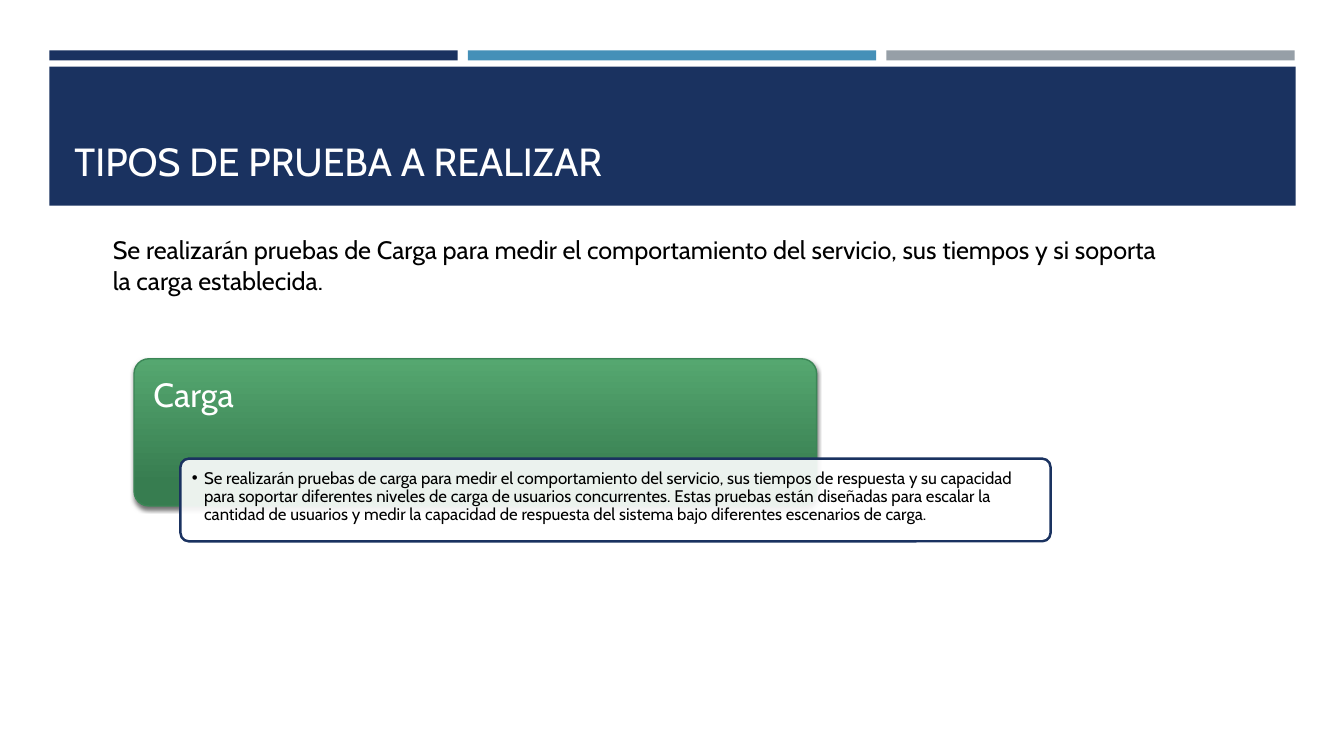
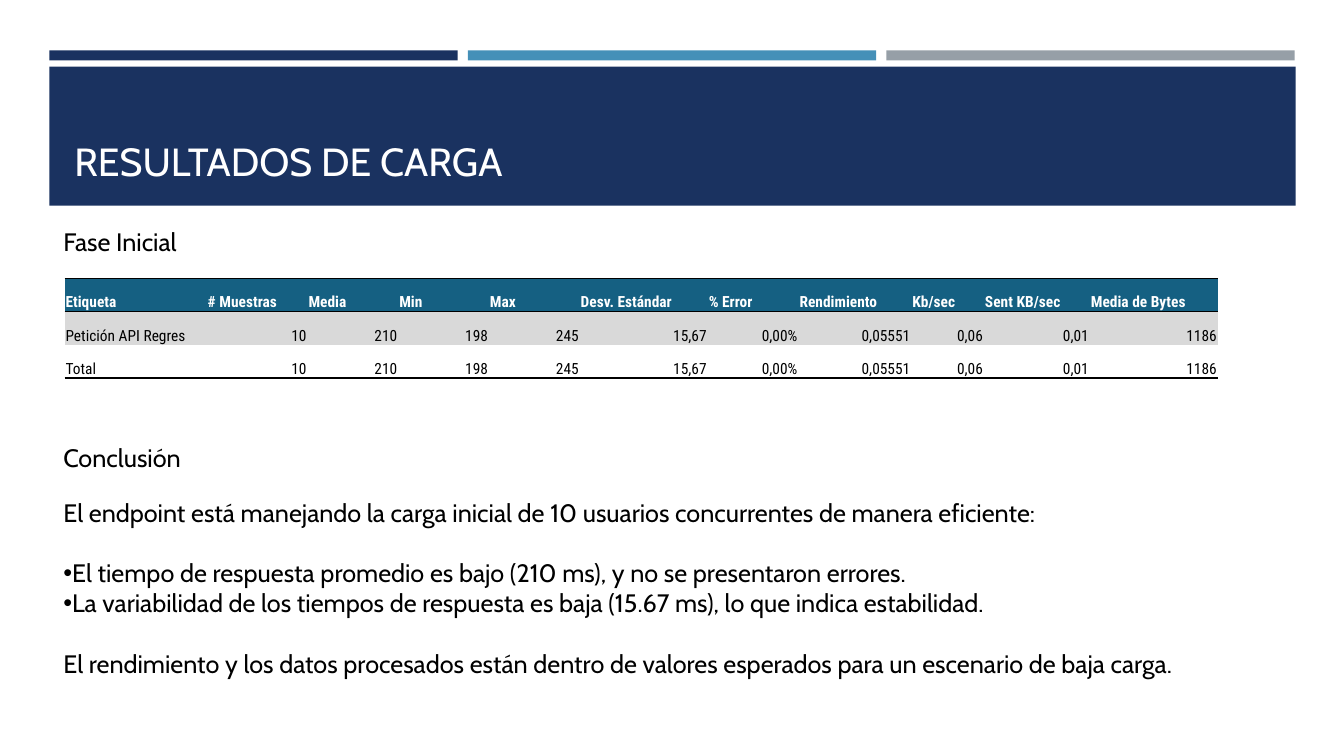
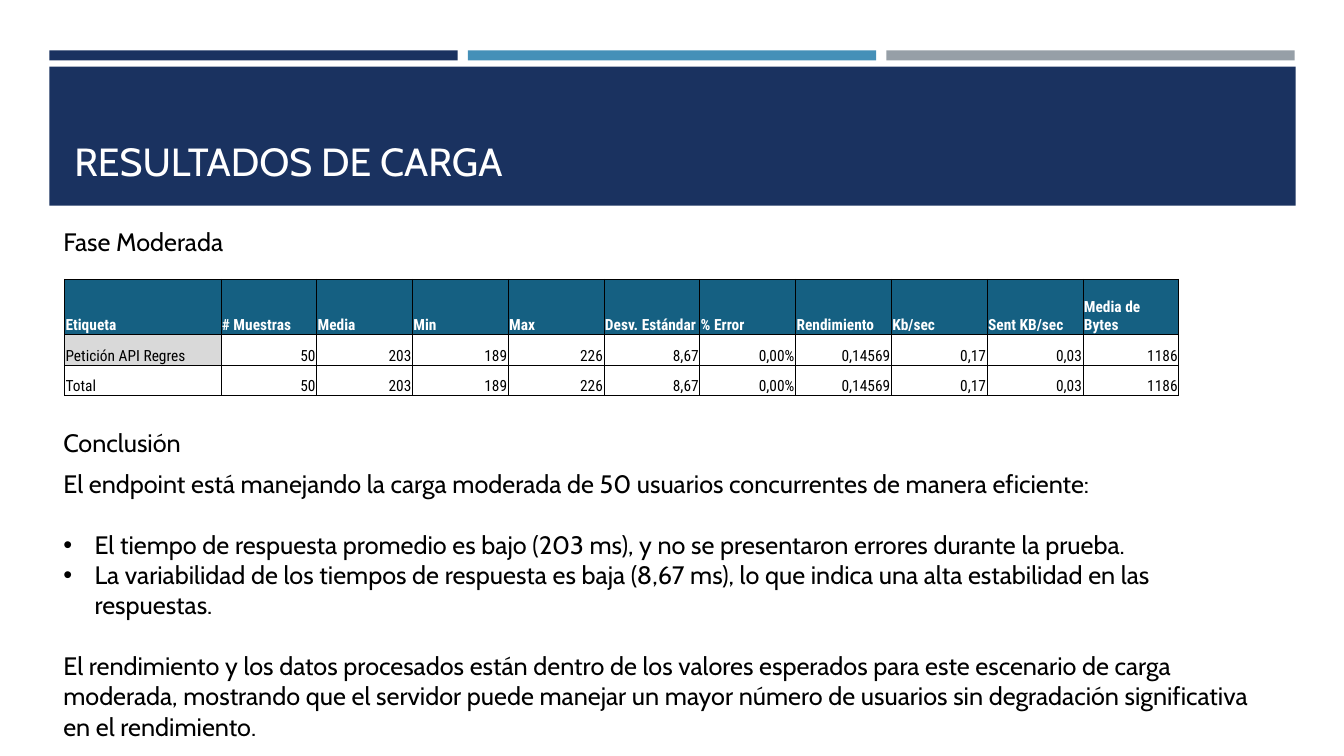
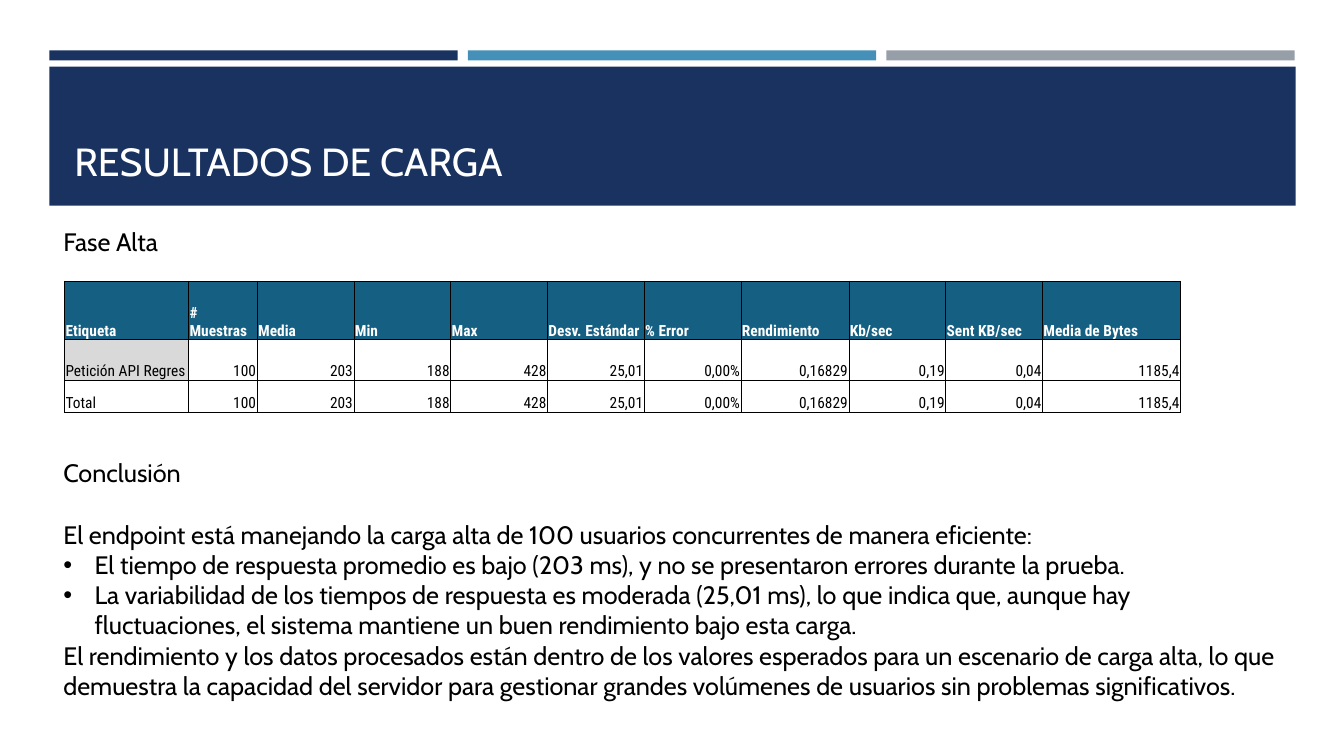
from lxml import etree
from pptx import Presentation
from pptx.dml.color import RGBColor
from pptx.enum.shapes import MSO_SHAPE
from pptx.enum.text import MSO_ANCHOR, PP_ALIGN
from pptx.oxml.ns import qn
from pptx.util import Inches, Pt

RECT = MSO_SHAPE.RECTANGLE
ROUNDED = MSO_SHAPE.ROUNDED_RECTANGLE
TOP = MSO_ANCHOR.TOP
BOTTOM = MSO_ANCHOR.BOTTOM
LEFT = PP_ALIGN.LEFT
RIGHT = PP_ALIGN.RIGHT

NAVY, BLUE, GRAY = "1A3260", "4590B8", "969FA7"
TEAL, LIGHT = "156082", "D9D9D9"
BLACK, WHITE = "000000", "FFFFFF"
BLANK_LINE = 21.7
PLAIN_TABLE = "{2D5ABB26-0587-4C30-8999-92F81FD0307C}"

HEADINGS = ["Etiqueta", "# Muestras", "Media", "Min", "Max", "Desv. Estándar",
            "% Error", "Rendimiento", "Kb/sec", "Sent KB/sec", "Media de Bytes"]
ROW_LABELS = ["Petición API Regres", "Total"]
GRID = ["LRTB"] * 3


def rgb(value):
    return RGBColor.from_string(value)


def add_xml(parent, tag, **attributes):
    child = etree.SubElement(parent, qn(tag))
    for name, value in attributes.items():
        child.set(name, str(value))
    return child


class Deck:
    font = "Cabin"
    table_font = "Roboto Condensed"

    def __init__(self):
        self.prs = Presentation()
        self.prs.slide_width = Inches(13.33)
        self.prs.slide_height = Inches(7.5)
        self.s = None

    def slide(self, title):
        self.s = self.prs.slides.add_slide(self.prs.slide_layouts[6])
        for i, color in enumerate((NAVY, BLUE, GRAY)):
            self.box(RECT, 0.49 + i * 4.15, 0.5, 4.05, 0.1, color)
        self.box(RECT, 0.49, 0.66, 12.36, 1.38, NAVY)
        self.text(0.64, 0.8, 12.06, 1.08, [title], size=28, color=WHITE, anchor=BOTTOM)

    def box(self, kind, x, y, w, h, fill=None, line=None, width=1):
        sp = self.s.shapes.add_shape(kind, Inches(x), Inches(y), Inches(w), Inches(h))
        sp.shadow.inherit = False
        if fill:
            sp.fill.solid()
            sp.fill.fore_color.rgb = rgb(fill)
        if line:
            sp.line.color.rgb = rgb(line)
            sp.line.width = Pt(width)
        else:
            sp.line.fill.background()
        if kind == ROUNDED:
            sp.adjustments[0] = 0.1
        return sp

    def gradient(self, sp, stops):
        sp.fill.gradient()
        sp.fill.gradient_angle = 270
        for stop, (position, color) in zip(sp.fill.gradient_stops, stops):
            stop.position = position
            stop.color.rgb = rgb(color)

    def drop_shadow(self, sp):
        effects = sp.element.spPr.find(qn("a:effectLst"))
        shadow = add_xml(effects, "a:outerShdw", blurRad=Pt(3), dist=Pt(2),
                         dir=5400000, rotWithShape=0)
        color = add_xml(shadow, "a:srgbClr", val=BLACK)
        add_xml(color, "a:alpha", val=55000)

    def opacity(self, sp, percent):
        color = sp.element.spPr.find(qn("a:solidFill")).find(qn("a:srgbClr"))
        add_xml(color, "a:alpha", val=percent * 1000)

    def style(self, p, size, color, font=font, bold=False):
        p.font.name = font
        p.font.size = Pt(size)
        p.font.bold = bold
        p.font.color.rgb = rgb(color)

    def bullet(self, p, indent):
        pPr = p._p.get_or_add_pPr()
        pPr.set("marL", str(Inches(indent)))
        pPr.set("indent", str(-Inches(indent)))
        add_xml(pPr, "a:buFont", typeface="Arial")
        add_xml(pPr, "a:buChar", char="•")

    def paragraphs(self, tf, items, size=18, color=BLACK, anchor=TOP, indent=0.31,
                   spacing=None):
        tf.word_wrap = True
        tf.vertical_anchor = anchor
        for i, item in enumerate(items):
            text, bulleted, gap = (item, False, 0) if isinstance(item, str) else item
            p = tf.paragraphs[0] if i == 0 else tf.add_paragraph()
            p.text = text
            p.alignment = LEFT
            if spacing:
                p.line_spacing = spacing
            if gap:
                p.space_before = Pt(gap)
            if bulleted:
                self.bullet(p, indent)
            self.style(p, size, color)

    def text(self, x, y, w, h, items, **options):
        sp = self.s.shapes.add_textbox(Inches(x), Inches(y), Inches(w), Inches(h))
        self.paragraphs(sp.text_frame, items, **options)

    def label(self, sp, inset, items, **options):
        tf = sp.text_frame
        tf.margin_left = tf.margin_right = tf.margin_top = tf.margin_bottom = Inches(inset)
        self.paragraphs(tf, items, spacing=0.9, **options)

    def borders(self, cell, edges, width):
        tcPr = cell._tc.get_or_add_tcPr()
        for side in "LRTB":
            if side in edges:
                ln = add_xml(tcPr, "a:ln" + side, w=Pt(width))
                add_xml(add_xml(ln, "a:solidFill"), "a:srgbClr", val=BLACK)
            else:
                add_xml(add_xml(tcPr, "a:ln" + side, w=0), "a:noFill")

    def table(self, y, widths, heights, values, edges, width, shaded):
        rows = [HEADINGS] + [[name] + values for name in ROW_LABELS]
        frame = self.s.shapes.add_table(len(rows), len(widths), Inches(0.64), Inches(y),
                                        Inches(sum(widths)), Inches(sum(heights)))
        table = frame.table
        table.horz_banding = False
        table._tbl.tblPr.find(qn("a:tableStyleId")).text = PLAIN_TABLE
        for column, size in zip(table.columns, widths):
            column.width = Inches(size)
        for i, row in enumerate(rows):
            table.rows[i].height = Inches(heights[i])
            for j, text in enumerate(row):
                cell = table.cell(i, j)
                cell.margin_left = cell.margin_right = cell.margin_top = Inches(0.01)
                cell.margin_bottom = 0
                cell.vertical_anchor = BOTTOM
                self.borders(cell, edges[i], width)
                if i == 0 or (i == 1 and j < shaded):
                    cell.fill.solid()
                    cell.fill.fore_color.rgb = rgb(LIGHT if i else TEAL)
                else:
                    cell.fill.background()
                p = cell.text_frame.paragraphs[0]
                p.text = text
                p.alignment = RIGHT if i and j else LEFT
                self.style(p, 11, BLACK if i else WHITE, self.table_font, i == 0)

    def results(self, phase, table, conclusion_y, body, items, indent=0.31):
        self.slide("RESULTADOS DE CARGA")
        self.text(0.53, 2.2, 10.16, 0.4, [phase])
        self.table(**table)
        self.text(0.53, conclusion_y, 10.16, 0.4, ["Conclusión"])
        self.text(0.53, *body, items, indent=indent)


def main():
    deck = Deck()

    deck.slide("TIPOS DE PRUEBA A REALIZAR")
    card = deck.box(ROUNDED, 1.33, 3.56, 6.77, 1.46, line="3B8656")
    deck.gradient(card, [(0, "55A770"), (0.84, "377D50")])
    deck.drop_shadow(card)
    deck.label(card, 0.15, ["Carga"], size=24, color=WHITE)
    detail = deck.box(ROUNDED, 1.79, 4.55, 8.63, 0.82, WHITE, NAVY, 1.75)
    deck.opacity(detail, 90)
    deck.label(detail, 0.09, [(
        "Se realizarán pruebas de carga para medir el comportamiento del servicio, sus tiempos "
        "de respuesta y su capacidad para soportar diferentes niveles de carga de usuarios "
        "concurrentes. Estas pruebas están diseñadas para escalar la cantidad de usuarios y "
        "medir la capacidad de respuesta del sistema bajo diferentes escenarios de carga.",
        True, 0)], size=12, indent=0.12)
    deck.text(1.02, 2.28, 10.75, 0.71, [
        "Se realizarán pruebas de Carga para medir el comportamiento del servicio, sus tiempos "
        "y si soporta la carga establecida."])

    deck.results(
        "Fase Inicial",
        dict(y=2.76, widths=[1.41, 1, 0.9, 0.9, 0.9, 1.27, 0.9, 1.12, 0.72, 1.05, 1.27],
             heights=[0.33] * 3, edges=["TB", "T", "B"], width=1, shaded=len(HEADINGS),
             values=["10", "210", "198", "245", "15,67", "0,00%", "0,05551", "0,06", "0,01",
                     "1186"]),
        4.34, (4.88, 11.24, 2.22),
        ["El endpoint está manejando la carga inicial de 10 usuarios concurrentes de manera "
         "eficiente:",
         ("El tiempo de respuesta promedio es bajo (210 ms), y no se presentaron errores.",
          True, BLANK_LINE),
         ("La variabilidad de los tiempos de respuesta es baja (15.67 ms), lo que indica "
          "estabilidad.", True, 0),
         ("El rendimiento y los datos procesados están dentro de valores esperados para un "
          "escenario de baja carga.", False, BLANK_LINE)],
        indent=0)

    deck.results(
        "Fase Moderada",
        dict(y=2.77, widths=[1.55] + [0.95] * 10, heights=[0.55, 0.3, 0.3],
             edges=GRID, width=0.5, shaded=1,
             values=["50", "203", "189", "226", "8,67", "0,00%", "0,14569", "0,17", "0,03",
                     "1186"]),
        4.19, (4.6, 12.16, 2.52),
        ["El endpoint está manejando la carga moderada de 50 usuarios concurrentes de manera "
         "eficiente:",
         ("El tiempo de respuesta promedio es bajo (203 ms), y no se presentaron errores "
          "durante la prueba.", True, BLANK_LINE),
         ("La variabilidad de los tiempos de respuesta es baja (8,67 ms), lo que indica una "
          "alta estabilidad en las respuestas.", True, 0),
         ("El rendimiento y los datos procesados están dentro de los valores esperados para "
          "este escenario de carga moderada, mostrando que el servidor puede manejar un mayor "
          "número de usuarios sin degradación significativa en el rendimiento.",
          False, BLANK_LINE)])

    deck.results(
        "Fase Alta",
        dict(y=2.79, widths=[1.23, 0.68] + [0.96] * 5 + [1.07, 0.96, 0.96, 1.37],
             heights=[0.58, 0.4, 0.32], edges=GRID, width=0.5, shaded=1,
             values=["100", "203", "188", "428", "25,01", "0,00%", "0,16829", "0,19", "0,04",
                     "1185,4"]),
        4.49, (5.1, 12.27, 1.92),
        ["El endpoint está manejando la carga alta de 100 usuarios concurrentes de manera "
         "eficiente:",
         ("El tiempo de respuesta promedio es bajo (203 ms), y no se presentaron errores "
          "durante la prueba.", True, 0),
         ("La variabilidad de los tiempos de respuesta es moderada (25,01 ms), lo que indica "
          "que, aunque hay fluctuaciones, el sistema mantiene un buen rendimiento bajo esta "
          "carga.", True, 0),
         "El rendimiento y los datos procesados están dentro de los valores esperados para un "
         "escenario de carga alta, lo que demuestra la capacidad del servidor para gestionar "
         "grandes volúmenes de usuarios sin problemas significativos."])

    deck.prs.save("out.pptx")


if __name__ == "__main__":
    main()
